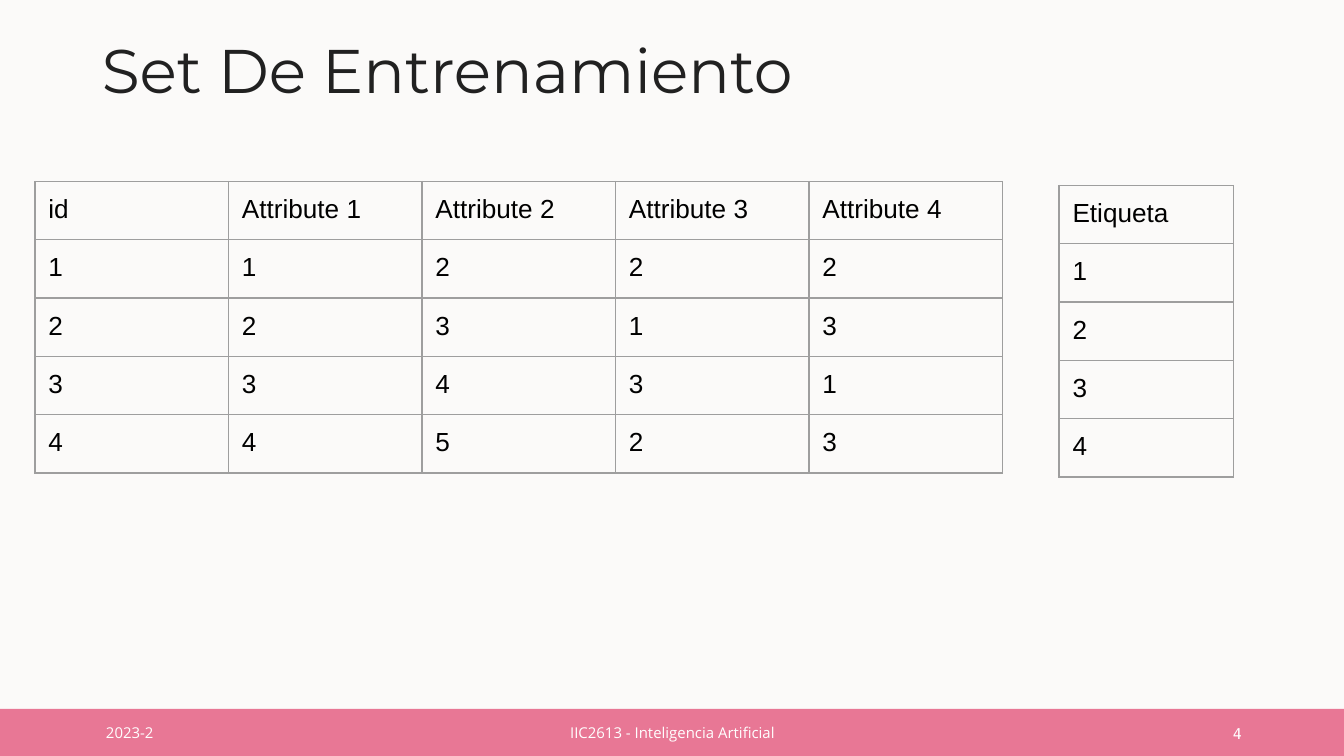
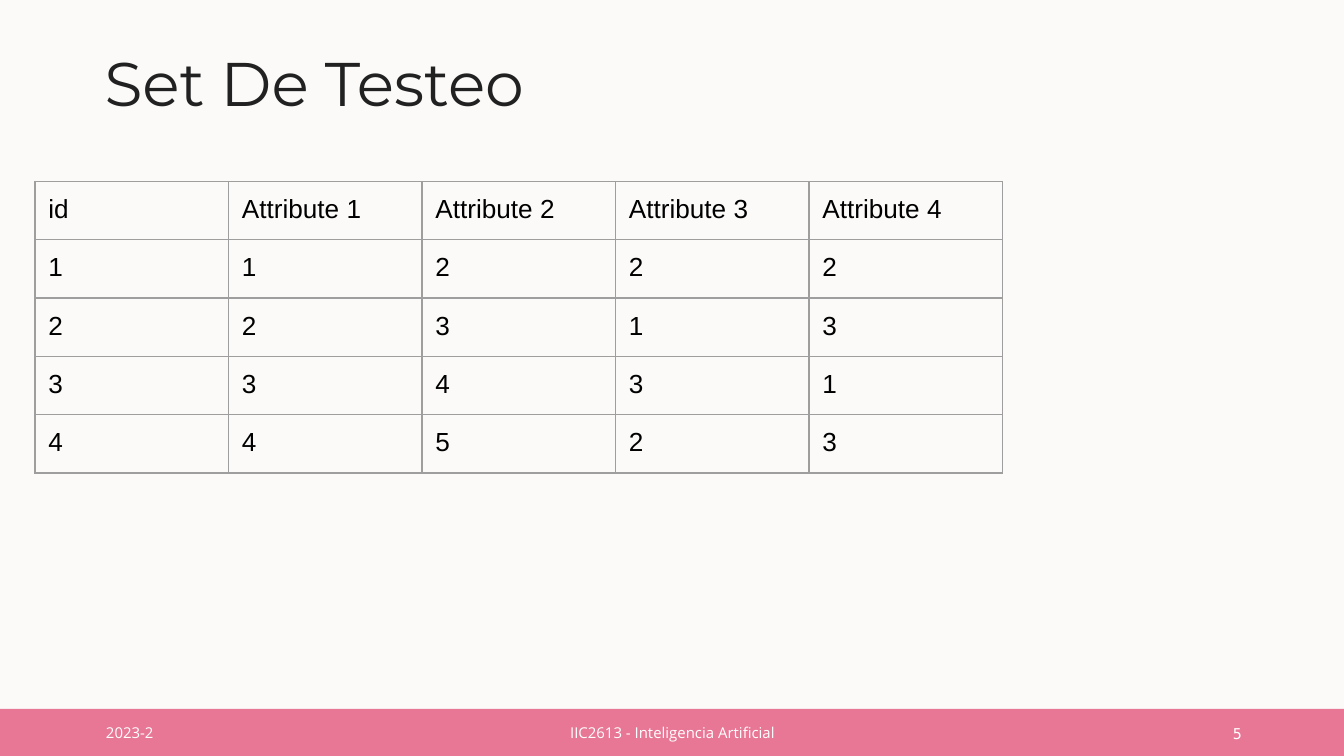
"""Build two slides that show a training set and a test set."""
from dataclasses import dataclass
from typing import Optional

from lxml import etree
from pptx import Presentation
from pptx import util as u
from pptx.dml.color import RGBColor
from pptx.enum import shapes, text
from pptx.oxml import ns


@dataclass(frozen=True)
class Theme:
    paper: str = "FBFAF9"
    band: str = "E87795"
    footer: str = "FFFFFF"
    ink: str = "212121"
    body: str = "000000"
    grid: str = "9E9E9E"
    title_font: str = "Montserrat"
    footer_font: str = "Open Sans"
    number_font: str = "DejaVu Sans Mono"
    body_font: str = "Arial"
    title_size: float = 33
    body_size: float = 14
    footer_size: float = 8
    grid_width: float = 0.75


@dataclass(frozen=True)
class Box:
    left: float
    top: float
    width: float
    height: float

    def lengths(self):
        return [u.Inches(v) for v in (self.left, self.top, self.width, self.height)]


@dataclass(frozen=True)
class DataGrid:
    frame: Box
    column_width: float
    header_height: float
    rows: tuple


@dataclass(frozen=True)
class Page:
    number: int
    title: str
    title_box: Box
    grids: tuple


THEME = Theme()
WIDTH = 10
HEIGHT = WIDTH * 9 / 16
ROW_HEIGHT = 0.42
GRID_SIDE = 3.28
BAND_HEIGHT = 0.35
BAND = Box(0, HEIGHT - BAND_HEIGHT, WIDTH, BAND_HEIGHT)
COURSE = Box(3.6, 5.32, 2.81, 0.26)
TERM = Box(0.69, 5.32, 2.81, 0.26)
NUMBER = Box(7.06, 5.31, 2.25, 0.3)

ATTRIBUTES = DataGrid(Box(0.26, 1.35, GRID_SIDE, GRID_SIDE), 1.44, 0.43, (
    ("id", "Attribute 1", "Attribute 2", "Attribute 3", "Attribute 4"),
    (1, 1, 2, 2, 2),
    (2, 2, 3, 1, 3),
    (3, 3, 4, 3, 1),
    (4, 4, 5, 2, 3),
))
LABELS = DataGrid(Box(7.88, 1.38, GRID_SIDE, GRID_SIDE), 1.3, ROW_HEIGHT,
                  (("Etiqueta",), (1,), (2,), (3,), (4,)))
PAGES = (
    Page(4, "Set De Entrenamiento", Box(0.66, 0.2, 5.51, 0.7), (ATTRIBUTES, LABELS)),
    Page(5, "Set De Testeo", Box(0.68, 0.3, 3.61, 0.7), (ATTRIBUTES,)),
)


def write(frame, words: str, *, font: str, size: float, color: str,
          align=text.PP_ALIGN.LEFT, spacing: Optional[float] = None) -> None:
    paragraph = frame.paragraphs[0]
    paragraph.alignment = align
    paragraph.line_spacing = spacing
    run = paragraph.add_run()
    run.text = words
    run.font.name = font
    run.font.size = u.Pt(size)
    run.font.color.rgb = RGBColor.from_string(color)


def add_text(slide, box: Box, words: str, *, inset=(0.1, 0.1),
             anchor=text.MSO_ANCHOR.MIDDLE, **style) -> None:
    frame = slide.shapes.add_textbox(*box.lengths()).text_frame
    frame.word_wrap = True
    frame.vertical_anchor = anchor
    frame.margin_left = frame.margin_right = u.Inches(inset[0])
    frame.margin_top = frame.margin_bottom = u.Inches(inset[1])
    write(frame, words, **style)


def add_footer(slide, number: int) -> None:
    band = slide.shapes.add_shape(shapes.MSO_SHAPE.RECTANGLE, *BAND.lengths())
    band.shadow.inherit = False
    band.fill.solid()
    band.fill.fore_color.rgb = RGBColor.from_string(THEME.band)
    band.line.fill.background()
    style = dict(size=THEME.footer_size, color=THEME.footer)
    add_text(slide, COURSE, "IIC2613 - Inteligencia Artificial",
             font=THEME.footer_font, align=text.PP_ALIGN.CENTER, **style)
    add_text(slide, TERM, "2023-2", font=THEME.footer_font, **style)
    add_text(slide, NUMBER, str(number), font=THEME.number_font,
             align=text.PP_ALIGN.RIGHT, inset=(0.07, 0.04), **style)


def outline(cell) -> None:
    properties = cell._tc.get_or_add_tcPr()
    for side in ("a:lnL", "a:lnR", "a:lnT", "a:lnB"):
        edge = etree.SubElement(properties, ns.qn(side), w=str(u.Pt(THEME.grid_width)))
        fill = etree.SubElement(edge, ns.qn("a:solidFill"))
        etree.SubElement(fill, ns.qn("a:srgbClr"), val=THEME.grid)


def add_grid(slide, grid: DataGrid) -> None:
    holder = slide.shapes.add_table(len(grid.rows), len(grid.rows[0]),
                                    *grid.frame.lengths())
    table = holder.table
    table.first_row = table.horz_banding = False
    for column in table.columns:
        column.width = u.Inches(grid.column_width)
    for index, values in enumerate(grid.rows):
        row = table.rows[index]
        row.height = u.Inches(ROW_HEIGHT if index else grid.header_height)
        for cell, value in zip(row.cells, values):
            cell.margin_left = cell.margin_right = u.Inches(0.1)
            cell.margin_top = cell.margin_bottom = u.Inches(0.1)
            outline(cell)
            cell.fill.background()
            write(cell.text_frame, str(value), font=THEME.body_font,
                  size=THEME.body_size, color=THEME.body)
    holder.left, holder.top, holder.width, holder.height = grid.frame.lengths()


def add_page(deck, page: Page) -> None:
    slide = deck.slides.add_slide(deck.slide_layouts[6])
    slide.background.fill.solid()
    slide.background.fill.fore_color.rgb = RGBColor.from_string(THEME.paper)
    add_footer(slide, page.number)
    for grid in page.grids:
        add_grid(slide, grid)
    add_text(slide, page.title_box, page.title, anchor=text.MSO_ANCHOR.TOP,
             font=THEME.title_font, size=THEME.title_size, color=THEME.ink, spacing=0.9)


def main() -> None:
    deck = Presentation()
    deck.slide_width, deck.slide_height = u.Inches(WIDTH), u.Inches(HEIGHT)
    for page in PAGES:
        add_page(deck, page)
    deck.save("out.pptx")


if __name__ == "__main__":
    main()
